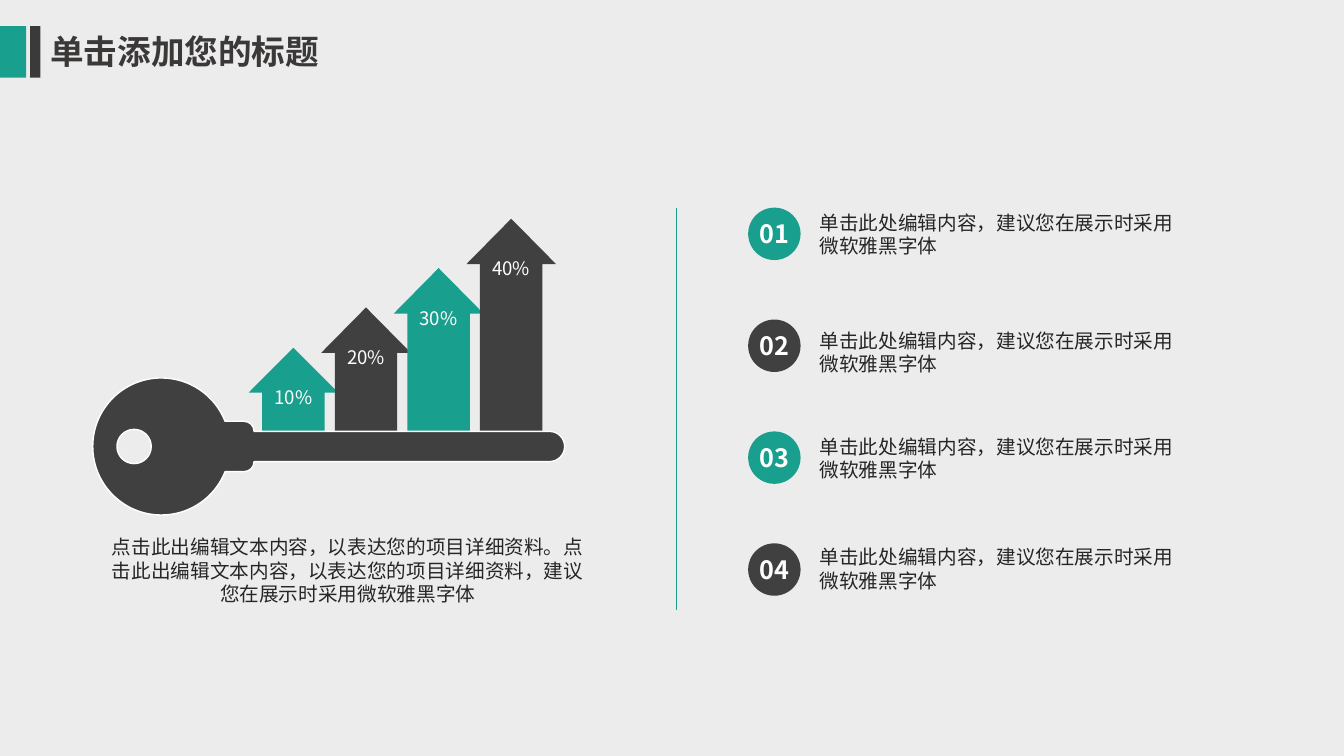
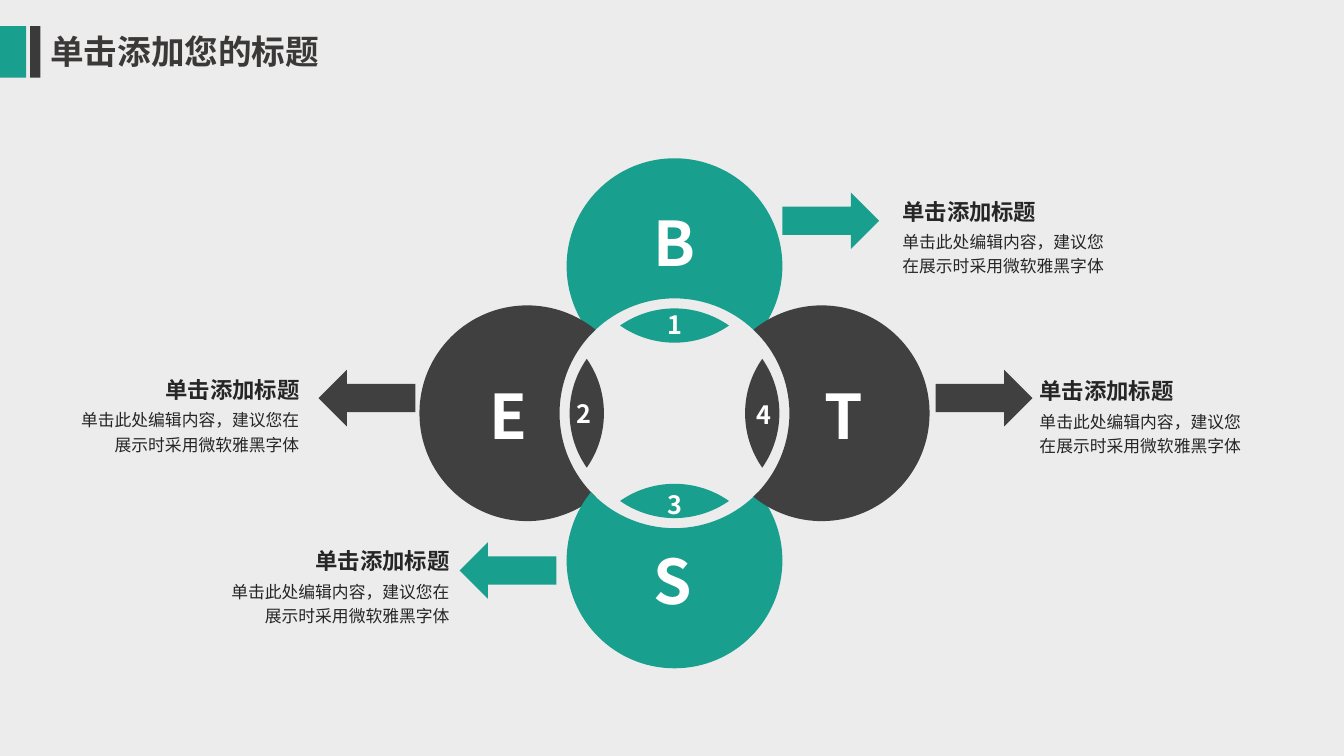
from dataclasses import dataclass
from math import acos, asin, atan2, cos, degrees, radians, sin, sqrt, tan

from lxml.etree import SubElement
from pptx import Presentation
from pptx.dml.color import RGBColor
from pptx.enum.shapes import MSO_CONNECTOR, MSO_SHAPE
from pptx.enum.text import MSO_ANCHOR as ANCHOR, PP_ALIGN as ALIGN
from pptx.oxml.ns import qn
from pptx.util import Inches, Pt


@dataclass(frozen=True)
class Theme:
    teal: str = "199F8E"
    dark: str = "404040"
    band: str = "3A3A3A"
    title: str = "3B3838"
    body: str = "262626"
    white: str = "FFFFFF"
    background: str = "ECECEC"
    cjk: str = "Noto Sans CJK SC"
    latin: str = "Arial"
    title_size: float = 24
    letter_size: float = 44
    number_size: float = 18
    heading_size: float = 16
    item_size: float = 14
    percent_size: float = 13.3
    detail_size: float = 12


THEME = Theme()
TITLE = "单击添加您的标题"
ADVICE = "单击此处编辑内容，建议您在展示时采用微软雅黑字体"


def paint(shape, fill=None, lines=(), color=THEME.white, align=ALIGN.CENTER,
          anchor=ANCHOR.MIDDLE, margins=(0, 0), font=THEME.cjk, paragraph_format=None):
    """Give a shape a flat fill and its (text, size, bold) lines; margins are across, down."""
    shape.shadow.inherit = False
    shape.line.fill.background()
    if fill:
        shape.fill.solid()
        shape.fill.fore_color.rgb = RGBColor.from_string(fill)
    frame = shape.text_frame
    across, down = (Inches(margin) for margin in margins)
    frame_format = {"word_wrap": True, "vertical_anchor": anchor, "margin_left": across,
                    "margin_right": across, "margin_top": down, "margin_bottom": down}
    for name, value in frame_format.items():
        setattr(frame, name, value)
    for index, (text, size, bold) in enumerate(lines):
        paragraph = frame.add_paragraph() if index else frame.paragraphs[0]
        for name, value in {"alignment": align, **(paragraph_format or {})}.items():
            setattr(paragraph, name, value)
        run = paragraph.add_run()
        run.text = text
        for name, value in {"name": font, "size": Pt(size), "bold": bold}.items():
            setattr(run.font, name, value)
        run.font.color.rgb = RGBColor.from_string(color)
        SubElement(run.font._element, qn("a:ea"), typeface=THEME.cjk)


def add_arcs_shape(shapes, *contours):
    """Add one outline of closed contours, each a list of arcs joined by straight lines.

    An arc is (centre x, centre y, radius, start, end), in inches and clockwise degrees.
    """
    builder, curved = None, []
    for contour in contours:
        points = []
        for x, y, radius, start, end in contour:
            low, high = sorted((start, end))
            quarters = [a for a in range(-720, 721, 90) if low < a < high]
            stops = [start, *(quarters if start < end else quarters[::-1]), end]
            if points:
                curved.append(False)
            units = [(cos(radians(start)), sin(radians(start)))]
            for a, b in zip(map(radians, stops), map(radians, stops[1:])):
                pull = 4 / 3 * tan((b - a) / 4)
                units += [(cos(a) - pull * sin(a), sin(a) + pull * cos(a)),
                          (cos(b) + pull * sin(b), sin(b) - pull * cos(b)),
                          (cos(b), sin(b))]
                curved += [True] * 3
            points += [(Inches(x + radius * u), Inches(y + radius * v)) for u, v in units]
        if builder is None:
            builder = shapes.build_freeform(*points[0])
        else:
            builder.move_to(*points[0])
        builder.add_line_segments(points[1:])
    shape = builder.convert_to_shape()
    segments = list(shape._element.iter(qn("a:lnTo")))
    handles = [segment for segment, is_curved in zip(segments, curved) if is_curved]
    for first, second, last in zip(handles[::3], handles[1::3], handles[2::3]):
        first.tag = qn("a:cubicBezTo")
        for extra in (second, last):
            first.append(extra[0])
            extra.getparent().remove(extra)
    return shape


prs = Presentation()
prs.slide_width, prs.slide_height = Inches(13.33), Inches(7.5)
backdrop = prs.slide_master.background.fill
backdrop.solid()
backdrop.fore_color.rgb = RGBColor.from_string(THEME.background)

slides = [prs.slides.add_slide(prs.slide_layouts[6]) for _ in range(2)]
for slide in slides:
    for left, width, color in ((0, 0.26, THEME.teal), (0.3, 0.1, THEME.band)):
        band = slide.shapes.add_shape(
            MSO_SHAPE.RECTANGLE, Inches(left), Inches(0.26), Inches(width), Inches(0.51))
        paint(band, color)
    title = slide.shapes.add_textbox(Inches(0.4), Inches(0.26), Inches(2.99), Inches(0.5))
    paint(title, lines=[(TITLE, THEME.title_size, True)], color=THEME.title,
          align=ALIGN.JUSTIFY, margins=(0.1, 0.05))
key_shapes, circle_shapes = (slide.shapes for slide in slides)
alternating = (THEME.teal, THEME.dark) * 2

# Slide 1: growth arrows standing on a key
ARROW_WIDTH, ARROW_BASE = 0.89, 4.33
for index, (percent, height) in enumerate(
        (("10%", 0.88), ("20%", 1.28), ("30%", 1.67), ("40%", 2.16))):
    growth = key_shapes.add_shape(
        MSO_SHAPE.UP_ARROW, Inches(2.91 + 0.72 * index - ARROW_WIDTH / 2),
        Inches(ARROW_BASE - height), Inches(ARROW_WIDTH), Inches(height))
    growth.adjustments[0], growth.adjustments[1] = 0.695, 0.507
    paint(growth, alternating[index], [(percent, THEME.percent_size, False)],
          anchor=ANCHOR.TOP, margins=(0, 0.07))

KEY_Y, HEAD_X, HEAD_RADIUS = 4.43, 1.6, 0.68
SHAFT_HALF, COLLAR_HALF, COLLAR_X = 0.15, 0.25, 2.42
CORNER = COLLAR_HALF - SHAFT_HALF
neck = degrees(asin(COLLAR_HALF / HEAD_RADIUS))
key = add_arcs_shape(
    key_shapes,
    [(HEAD_X, KEY_Y, HEAD_RADIUS, neck, 360 - neck),
     (COLLAR_X, KEY_Y - SHAFT_HALF, CORNER, -90, 0),
     (5.45, KEY_Y, SHAFT_HALF, -90, 90),
     (COLLAR_X, KEY_Y + SHAFT_HALF, CORNER, 0, 90)],
    [(1.33, KEY_Y, 0.17, 0, 360)])
paint(key, THEME.dark)
key.line.color.rgb = RGBColor.from_string(THEME.white)
key.line.width = Pt(1)

caption = key_shapes.add_textbox(Inches(0.92), Inches(5.24), Inches(5.06), Inches(0.98))
paint(caption, lines=[(
    "点击此出编辑文本内容，以表达您的项目详细资料。"
    "点击此出编辑文本内容，以表达您的项目详细资料，建议您在展示时采用微软雅黑字体",
    THEME.item_size, False)], color=THEME.body, anchor=ANCHOR.TOP, margins=(0.13, 0.07))

divider = key_shapes.add_connector(
    MSO_CONNECTOR.STRAIGHT, Inches(6.71), Inches(2.06), Inches(6.71), Inches(6.05))
divider.line.color.rgb = RGBColor.from_string(THEME.teal)
divider.line.width = Pt(0.75)
SubElement(divider._element.spPr, qn("a:effectLst"))

for index, advice_top in enumerate((2.02, 3.19, 4.24, 5.34)):
    badge = key_shapes.add_shape(
        MSO_SHAPE.OVAL, Inches(7.42), Inches(2.06 + 1.11 * index), Inches(0.52), Inches(0.52))
    paint(badge, alternating[index], [(f"{index + 1:02}", THEME.number_size, True)])
    advice = key_shapes.add_textbox(Inches(8), Inches(advice_top), Inches(3.94), Inches(0.61))
    paint(advice, lines=[(ADVICE, THEME.item_size, False)], color=THEME.body,
          align=ALIGN.LEFT, anchor=ANCHOR.TOP, margins=(0.13, 0.07))

# Slide 2: four petals round an open hub, each with a numbered lens and a callout
HUB_X, HUB_Y, HUB_RADIUS = 6.69, 4.1, 1.14
PETAL_RADIUS, PETAL_OFFSET = 1.07, 1.46
LENS_OFFSET, LENS_HALF, LENS_SAG = 0.87, 0.54, 0.17

meet_out = (PETAL_OFFSET**2 + HUB_RADIUS**2 - PETAL_RADIUS**2) / (2 * PETAL_OFFSET)
meet_side = sqrt(HUB_RADIUS**2 - meet_out**2)
petal_half = degrees(atan2(meet_side, meet_out - PETAL_OFFSET))
hub_half = degrees(acos(meet_out / HUB_RADIUS))
lens_radius = (LENS_HALF**2 + LENS_SAG**2) / (2 * LENS_SAG)
lens_angle = degrees(asin(LENS_HALF / lens_radius))
lens_shift = lens_radius - LENS_SAG

# outward angle, letter with its centre, number with its centre,
# arrow left and top, text left, top and width
petals = (
    (-90, ("B", 6.69, 2.4), ("1", 6.69, 3.22), 7.76, 1.91, 8.95, 1.91, 2.12),
    (180, ("E", 5.04, 4.12), ("2", 5.79, 4.1), 3.16, 3.67, 0.79, 3.68, 2.18),
    (90, ("S", 6.67, 5.75), ("3", 6.69, 5), 4.56, 5.38, 2.28, 5.38, 2.18),
    (0, ("T", 8.37, 4.12), ("4", 7.58, 4.11), 9.28, 3.67, 10.31, 3.69, 2.12),
)
for color, petal in zip(alternating, petals):
    outward, letter, number, arrow_left, arrow_top, text_left, text_top, text_width = petal
    out_x, out_y = cos(radians(outward)), sin(radians(outward))
    petal_x, petal_y = HUB_X + PETAL_OFFSET * out_x, HUB_Y + PETAL_OFFSET * out_y
    petal_arcs = [
        (petal_x, petal_y, PETAL_RADIUS, outward - petal_half, outward + petal_half),
        (HUB_X, HUB_Y, HUB_RADIUS, outward + hub_half, outward - hub_half)]
    lens_arcs = []
    for side, facing in ((-1, outward), (1, outward + 180)):
        distance = LENS_OFFSET + side * lens_shift
        lens_arcs.append((HUB_X + distance * out_x, HUB_Y + distance * out_y,
                          lens_radius, facing - lens_angle, facing + lens_angle))
    for arcs in (petal_arcs, lens_arcs):
        paint(add_arcs_shape(circle_shapes, arcs), color)
    for (label, center_x, center_y), size, width, height in (
            (letter, THEME.letter_size, 0.6, 0.84), (number, THEME.number_size, 0.36, 0.4)):
        mark = circle_shapes.add_textbox(
            Inches(center_x - width / 2), Inches(center_y - height / 2),
            Inches(width), Inches(height))
        paint(mark, lines=[(label, size, True)])

    on_right = arrow_left > HUB_X
    pointer = circle_shapes.add_shape(
        MSO_SHAPE.RIGHT_ARROW if on_right else MSO_SHAPE.LEFT_ARROW,
        Inches(arrow_left), Inches(arrow_top), Inches(0.96), Inches(0.56))
    paint(pointer, color)
    for top_gap, height, text, size, bold in (
            (0, 0.3, "单击添加标题", THEME.heading_size, True),
            (0.35, 0.46, ADVICE, THEME.detail_size, False)):
        callout = circle_shapes.add_textbox(
            Inches(text_left), Inches(text_top + top_gap), Inches(text_width), Inches(height))
        paint(callout, lines=[(text, size, bold)], color=THEME.body,
              align=ALIGN.LEFT if on_right else ALIGN.RIGHT, anchor=ANCHOR.TOP,
              font=THEME.latin,
              paragraph_format={"line_spacing": 1.2, "space_before": Pt(size * 0.2)})

prs.save("out.pptx")
